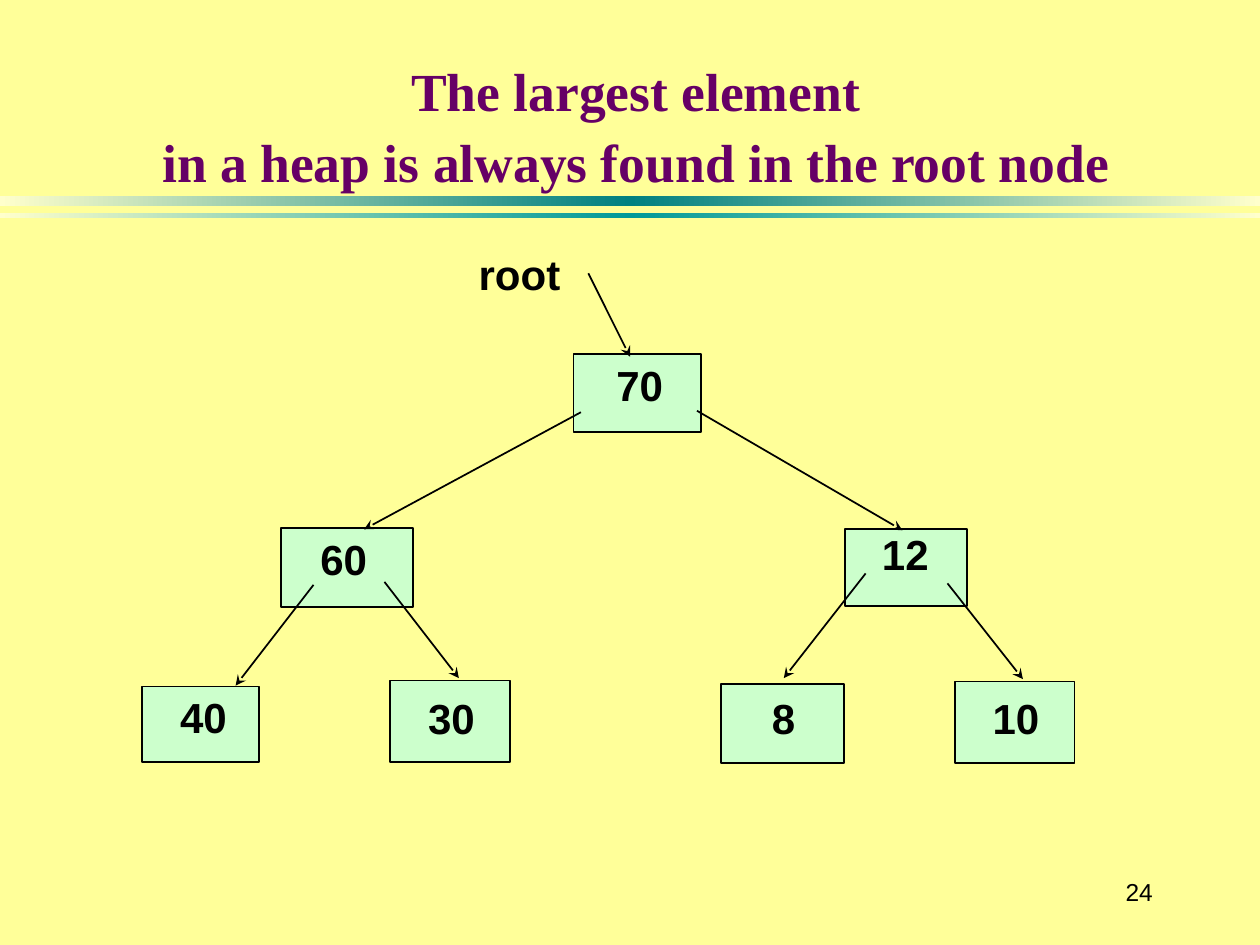
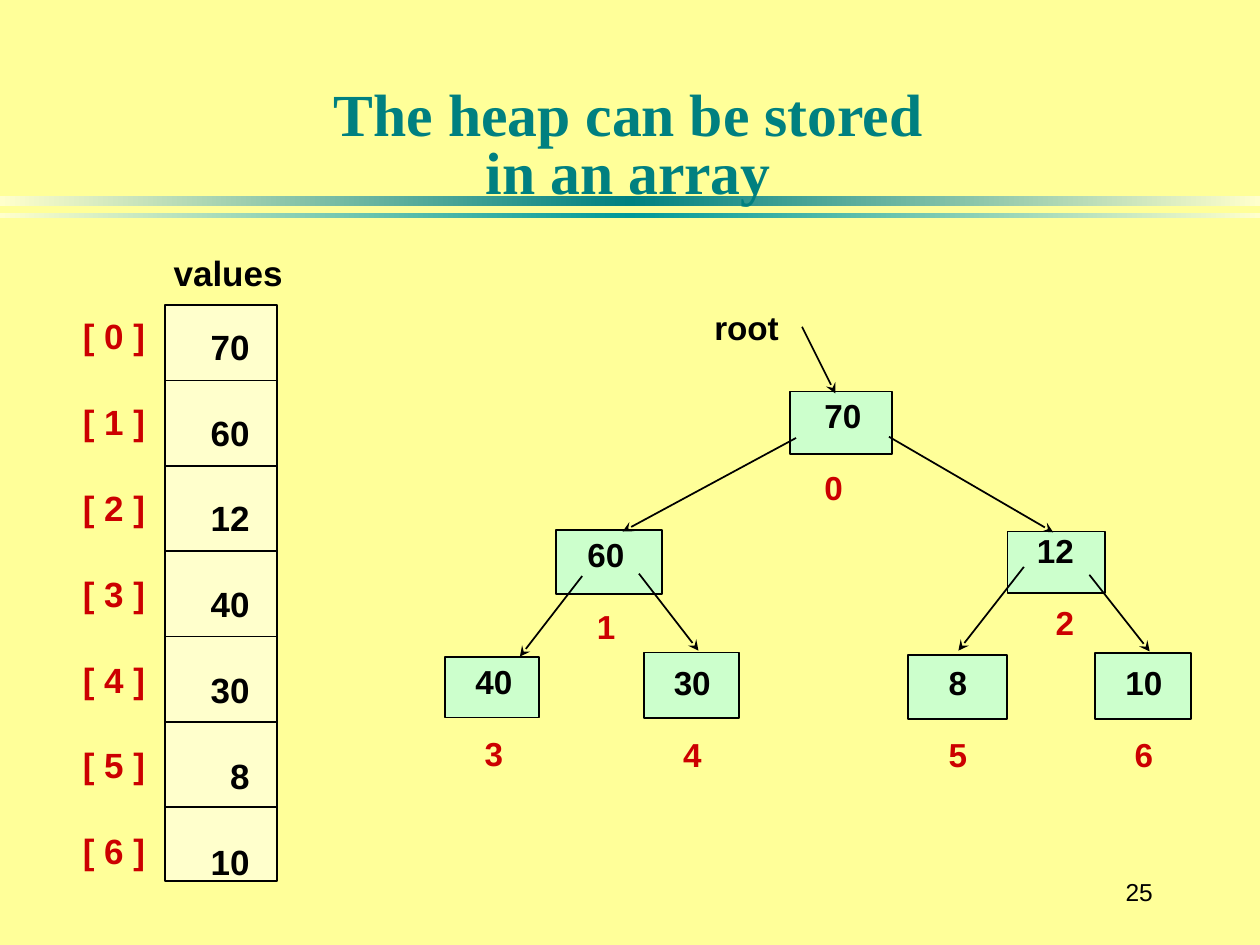
from copy import deepcopy

from pptx import Presentation
from pptx.dml.color import RGBColor
from pptx.enum.shapes import MSO_CONNECTOR, MSO_SHAPE
from pptx.enum.text import MSO_ANCHOR, MSO_AUTO_SIZE, PP_ALIGN
from pptx.oxml.ns import qn
from pptx.util import Cm, Pt
from lxml import etree

LEFT, CENTER, RIGHT = PP_ALIGN.LEFT, PP_ALIGN.CENTER, PP_ALIGN.RIGHT
TOP, MIDDLE, BOTTOM = MSO_ANCHOR.TOP, MSO_ANCHOR.MIDDLE, MSO_ANCHOR.BOTTOM
RECTANGLE, STRAIGHT = MSO_SHAPE.RECTANGLE, MSO_CONNECTOR.STRAIGHT
NO_AUTOFIT = MSO_AUTO_SIZE.NONE

# Shared style
BACKGROUND, CREAM, MINT = "FFFF99", "FFFFCC", "CCFFCC"
BLACK, RED, TEAL, PURPLE = "000000", "CC0000", "008080", "660066"
BODY_FONT, TITLE_FONT = "Arial", "Times New Roman"
BANDS = [(3.96, 0.2, TEAL), (4.29, 0.1, "009999")]  # top, height, middle colour
TITLE_WIDTH, TITLE_HEIGHT = 23.65, 3.18
SPACE_WIDTH = 0.28  # width of a space, as a share of the text size

# Content: heap nodes in array order (lengths in cm, at full scale)
# value, box, label place and width, value and index indents in spaces
NODES = [
    (70, (11.56, 7.14, 2.57, 1.57), (11.94, 7.11, 1.8), (1, 1)),
    (60, (5.66, 10.64, 2.67, 1.6), (5.97, 10.62, 1.8), (1, 2)),
    (12, (17.04, 10.67, 2.46, 1.55), (17.53, 10.52, 1.55), (0, 2)),
    (40, (2.87, 13.84, 2.36, 1.52), (3.38, 13.82, 1.6), (0, 1)),
    (30, (7.87, 13.72, 2.41, 1.65), (8.38, 13.84, 1.6), (0, 1)),
    (8, (14.53, 13.79, 2.49, 1.6), (14.6, 13.84, 1.93), (3, 3)),
    (10, (19.25, 13.74, 2.41, 1.65), (19.76, 13.84, 1.6), (0, 1)),
]
# Start and end of each arrow, from the root label down to the leaves
ARROWS = [
    ((11.86, 5.51), (12.7, 7.19)),
    ((11.71, 8.31), (7.34, 10.67)),
    ((14.05, 8.28), (18.19, 10.69)),
    ((6.32, 11.79), (4.75, 13.82)),
    ((7.75, 11.73), (9.25, 13.67)),
    ((17.45, 11.56), (15.8, 13.67)),
    ((19.1, 11.76), (20.62, 13.69)),
]
SLIDES = [
    dict(number=24, title=["The largest element", "in a heap is always found in the root node"],
         place=(0.99, 0.84), size=30.6, color=PURPLE, spacing=1.1,
         tree=dict(scale=1, dx=0, dy=0, indexed=False)),
    dict(number=25, title=["The heap can be stored", "in an array"],
         place=(0.84, 1.09), size=34.1, color=TEAL, spacing=0.8,
         tree=dict(scale=0.8, dx=6.68, dy=2.18, indexed=True)),
]


def paint(color_format, color):
    color_format.rgb = RGBColor.from_string(color)


def write(para, lines, *, size, color=BLACK, font=BODY_FONT, bold=True,
          align=LEFT, indent=0, before=0, spacing=None):
    """Fill a paragraph; lines are parted by line breaks, indent is in points."""
    para.alignment = align
    if before:
        para.space_before = Pt(before)
    if spacing:
        para.line_spacing = spacing
    if indent:
        properties = para._p.get_or_add_pPr()
        properties.set("marL", str(Pt(indent)))
        properties.set("indent", "0")
    for position, line in enumerate(lines):
        if position:
            para.add_line_break()
        span = para.add_run()
        span.text = line
        span.font.name, span.font.size, span.font.bold = font, Pt(size), bold
        paint(span.font.color, color)
    # Line breaks take the text size of the first line
    for line_break in para._p.findall(qn("a:br")):
        line_break.insert(0, deepcopy(para.runs[0]._r.rPr))


def add_text(page, place, paragraphs, *, anchor=TOP, scale=1, **style):
    """Add a text box; each paragraph is (text, own format)."""
    box = page.shapes.add_textbox(*(Cm(length) for length in place))
    frame = box.text_frame
    frame.word_wrap, frame.vertical_anchor = True, anchor
    frame.margin_left = frame.margin_right = Cm(0.25 * scale)
    frame.margin_top = frame.margin_bottom = Cm(0.13 * scale)
    for position, (text, own) in enumerate(paragraphs):
        para = frame.add_paragraph() if position else frame.paragraphs[0]
        write(para, [text], **{**style, **own})


def add_rectangle(page, place, fill=None):
    box = page.shapes.add_shape(RECTANGLE, *(Cm(length) for length in place))
    box.shadow.inherit = False
    if fill:
        box.fill.solid()
        paint(box.fill.fore_color, fill)
        paint(box.line.color, BLACK)
        box.line.width = Pt(1)
    else:
        box.line.fill.background()
    return box


def add_line(page, start, end, arrow=False):
    line = page.shapes.add_connector(STRAIGHT, *(Cm(length) for length in (*start, *end)))
    paint(line.line.color, BLACK)
    line.line.width = Pt(1)
    properties = line.element.spPr
    if arrow:
        etree.SubElement(properties.find(qn("a:ln")), qn("a:tailEnd"), type="stealth")
    etree.SubElement(properties, qn("a:effectLst"))


def add_master_bands(master, page):
    """Build the gradient bands and move them to the slide master."""
    for number, (top, height, middle) in enumerate(BANDS):
        band = add_rectangle(page, (0, top, 25.4, height))
        band.fill.gradient()
        band.fill.gradient_angle = 0
        for stop, position, color in zip(band.fill.gradient_stops, (0, 0.5), (CREAM, middle)):
            stop.position = position
            paint(stop.color, color)
        stops = band.element.spPr.find(".//" + qn("a:gsLst"))
        last = deepcopy(stops[0])
        last.set("pos", "100000")
        stops.append(last)
        band.element.nvSpPr.cNvPr.set("id", str(100 + number))
        master.shapes.element.insert(2 + number, band.element)


def add_page(deck, content):
    page = deck.slides.add_slide(deck.slide_layouts.get_by_name("Title Only"))
    title = page.shapes.title
    title.left, title.top = (Cm(length) for length in content["place"])
    title.width, title.height = Cm(TITLE_WIDTH), Cm(TITLE_HEIGHT)
    frame = title.text_frame
    frame.auto_size, frame.vertical_anchor = NO_AUTOFIT, BOTTOM
    write(frame.paragraphs[0], content["title"], font=TITLE_FONT, align=CENTER,
          size=content["size"], color=content["color"], spacing=content["spacing"])
    add_text(page, (21.79, 17.35, 1.7, 1.27), [(str(content["number"]), {})],
             size=14, bold=False, align=RIGHT, anchor=MIDDLE)
    return page


def add_tree(page, *, scale, dx, dy, indexed):
    def at(left, top, *extent):
        return (dx + scale * left, dy + scale * top, *(scale * length for length in extent))

    size = round(24 * scale)
    space = SPACE_WIDTH * size
    for _, box, _, _ in NODES:
        add_rectangle(page, at(*box), MINT)
    for start, end in ARROWS:
        add_line(page, at(*start), at(*end), arrow=True)
    add_text(page, at(9.4, 4.88, 2.67, 1.27), [("root", {})], size=size, scale=scale)
    for index, (value, _, label, (value_spaces, index_spaces)) in enumerate(NODES):
        paragraphs = [(str(value), dict(indent=value_spaces * space))]
        if indexed:
            paragraphs.append((str(index), dict(indent=index_spaces * space, color=RED, before=18)))
        height = 3 if indexed else 1.27
        add_text(page, at(*label, height), paragraphs, size=size, scale=scale)


def add_array(page):
    left, top, width, height = 3.33, 6.15, 2.26, 11.61
    first_rule, pitch = 7.67, 1.72
    add_rectangle(page, (left, top, width, height), CREAM)
    for row in range(len(NODES) - 1):
        rule = first_rule + row * pitch
        add_line(page, (left, rule), (left + width, rule))
    add_text(page, (3.25, 4.95, 3, 1.09), [("values", {})], size=20)

    def rows(texts):
        return [(text, dict(before=25 if row else 0)) for row, text in enumerate(texts)]

    add_text(page, (1.42, 6.22, 2, 11.28), rows(f"[ {index} ]" for index in range(len(NODES))),
             size=20, color=RED)
    add_text(page, (3.8, 6.43, 1.48, 11.28), rows(str(node[0]) for node in NODES),
             size=20, align=RIGHT)


def main():
    deck = Presentation()
    deck.slide_width, deck.slide_height = Cm(25.4), Cm(19.05)
    master = deck.slide_master
    master.background.fill.solid()
    paint(master.background.fill.fore_color, BACKGROUND)
    pages = [add_page(deck, content) for content in SLIDES]
    add_master_bands(master, pages[0])
    add_array(pages[1])
    for page, content in zip(pages, SLIDES):
        add_tree(page, **content["tree"])
    deck.save("out.pptx")


if __name__ == "__main__":
    main()
